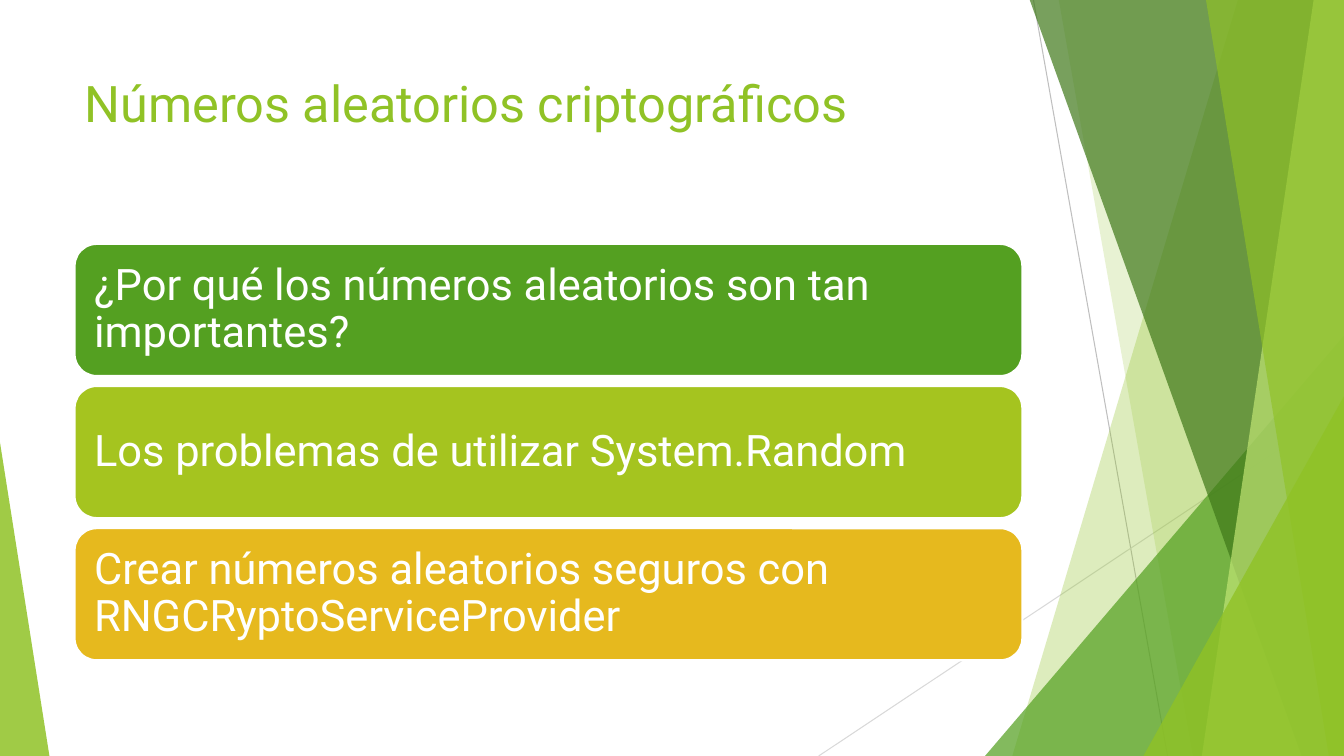
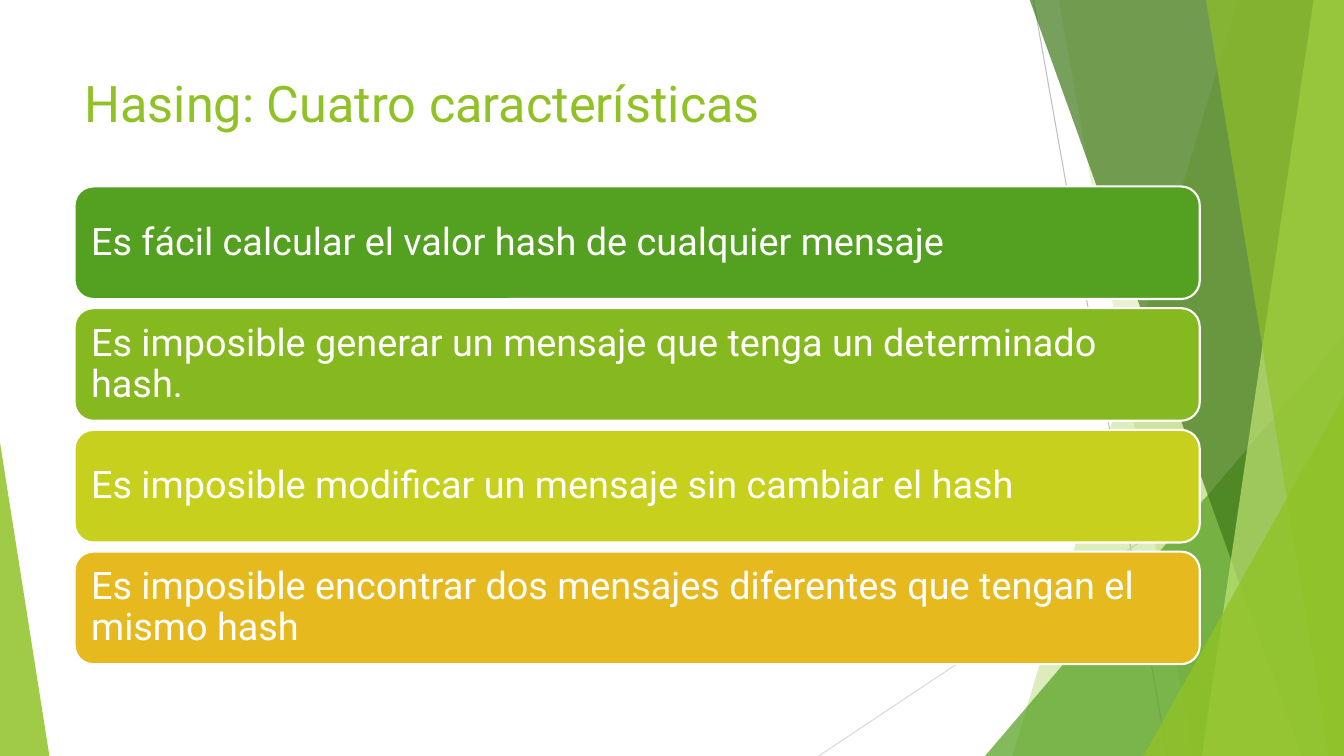
from dataclasses import dataclass

from lxml.etree import SubElement
from pptx import Presentation
from pptx.dml.color import RGBColor
from pptx.enum.shapes import MSO_CONNECTOR as CONN, MSO_SHAPE as SHAPE
from pptx.enum.text import MSO_ANCHOR as ANCHOR, PP_ALIGN as ALIGN
from pptx.oxml.ns import qn
from pptx.util import Inches, Pt


@dataclass(frozen=True)
class Theme:
    font: str = "Roboto"
    white: str = "FFFFFF"
    lime: str = "90C226"
    green: str = "54A021"
    forest: str = "3F7819"
    pale: str = "C0E474"
    grass: str = "86B820"
    olive: str = "A5C41F"
    citron: str = "C7D01D"
    gold: str = "E6B91E"
    grey: str = "BFBFBF"
    light_grey: str = "D9D9D9"
    title_size: int = 36
    hairline: float = 0.75
    outline: float = 1.5


T = Theme()
WIDTH, HEIGHT = 13.33, 7.5
BLADE_TOP = -0.01
TITLE_BOX = (0.74, 0.67, 9.4, 1.44)


def rgb(color):
    return RGBColor.from_string(color)


def fill_shape(sp, color, opacity=100, line=None):
    """Fill a shape, with an optional opacity in percent and outline colour."""
    sp.shadow.inherit = False
    sp.fill.solid()
    sp.fill.fore_color.rgb = rgb(color)
    if opacity < 100:
        clr = sp.fill._xPr.find(qn("a:solidFill")).find(qn("a:srgbClr"))
        SubElement(clr, qn("a:alpha")).set("val", str(opacity * 1000))
    if line:
        sp.line.color.rgb = rgb(line)
        sp.line.width = Pt(T.outline)
    else:
        sp.line.fill.background()


def set_text(sp, text, *, size, color, anchor=ANCHOR.TOP, margins=(0.1, 0.05),
             spacing=1.0):
    tf = sp.text_frame
    tf.word_wrap = True
    tf.vertical_anchor = anchor
    tf.margin_left = tf.margin_right = Inches(margins[0])
    tf.margin_top = tf.margin_bottom = Inches(margins[1])
    p = tf.paragraphs[0]
    p.alignment = ALIGN.LEFT
    p.line_spacing = spacing
    r = p.add_run()
    r.text = text
    r.font.name = T.font
    r.font.size = Pt(size)
    r.font.color.rgb = rgb(color)


def add_line(s, start, end, color):
    ln = s.shapes.add_connector(CONN.STRAIGHT, *map(Inches, start + end))
    ln.line.color.rgb = rgb(color)
    ln.line.width = Pt(T.hairline)
    SubElement(ln._element.spPr, qn("a:effectLst"))


def add_blade(s, top_x, bottom_x, color, opacity):
    """Full-height band from a slanted left edge to the right slide edge."""
    points = [(top_x, BLADE_TOP), (WIDTH, BLADE_TOP),
              (WIDTH, HEIGHT), (bottom_x, HEIGHT)]
    first, *rest = [(Inches(x), Inches(y)) for x, y in points]
    builder = s.shapes.build_freeform(*first)
    builder.add_line_segments(rest, close=True)
    fill_shape(builder.convert_to_shape(), color, opacity)


def add_corner(s, left, width, height, apex, color, opacity):
    """Right triangle standing on the bottom edge of the slide."""
    box = (left, HEIGHT - height, width, height)
    sp = s.shapes.add_shape(SHAPE.ISOSCELES_TRIANGLE, *map(Inches, box))
    sp.adjustments[0] = apex
    fill_shape(sp, color, opacity)


def add_backdrop(s):
    # Thin crossing lines
    add_line(s, (10.25, 0), (11.58, HEIGHT), T.grey)
    add_line(s, (WIDTH, 4.03), (8.12, HEIGHT), T.light_grey)
    # Overlapping facets on the right
    add_blade(s, 12.28, 10.04, T.lime, 30)
    add_blade(s, 10.5, 11.83, T.lime, 20)
    add_corner(s, 9.77, 3.56, 4.17, 1, T.green, 72)
    add_blade(s, 10.21, 12.91, T.forest, 70)
    add_blade(s, 13.03, 11.92, T.pale, 70)
    add_blade(s, 11.96, 13.18, T.lime, 65)
    add_corner(s, 11.34, 1.99, 3.57, 1, T.lime, 80)
    # Sliver on the left
    add_corner(s, 0, 0.49, 3.11, 0, T.lime, 85)


def add_title(s, text, box):
    sp = s.shapes.add_textbox(*map(Inches, box))
    set_text(sp, text, size=T.title_size, color=T.lime)


def add_bars(s, bars, box, *, gap, size, margin):
    """Stack rounded bars of equal height to fill the box."""
    left, top, width, height = box
    bar_h = (height - gap * (len(bars) - 1)) / len(bars)
    for i, (text, color) in enumerate(bars):
        y = top + i * (bar_h + gap)
        sp = s.shapes.add_shape(SHAPE.ROUNDED_RECTANGLE,
                                *map(Inches, (left, y, width, bar_h)))
        fill_shape(sp, color, line=T.white)
        set_text(sp, text, size=size, color=T.white, anchor=ANCHOR.MIDDLE,
                 margins=(margin, margin), spacing=0.9)


def add_bar_slide(prs, title, bars, box, **bar_format):
    s = prs.slides.add_slide(prs.slide_layouts[6])
    add_backdrop(s)
    add_title(s, title, TITLE_BOX)
    add_bars(s, bars, box, **bar_format)


def main():
    prs = Presentation()
    prs.slide_width, prs.slide_height = Inches(WIDTH), Inches(HEIGHT)

    add_bar_slide(
        prs, "Números aleatorios criptográficos",
        [("¿Por qué los números aleatorios son tan importantes?", T.green),
         ("Los problemas de utilizar System.Random", T.olive),
         ("Crear números aleatorios seguros con RNGCRyptoServiceProvider",
          T.gold)],
        (0.74, 2.42, 9.4, 4.13), gap=0.1, size=31, margin=0.13)

    add_bar_slide(
        prs, "Hasing: Cuatro características",
        [("Es fácil calcular el valor hash de cualquier mensaje", T.green),
         ("Es imposible generar un mensaje que tenga un determinado hash.",
          T.grass),
         ("Es imposible modificar un mensaje sin cambiar el hash", T.citron),
         ("Es imposible encontrar dos mensajes diferentes que tengan el "
          "mismo hash", T.gold)],
        (0.74, 1.85, 11.16, 4.74), gap=0.09, size=27, margin=0.11)

    prs.save("out.pptx")


if __name__ == "__main__":
    main()
